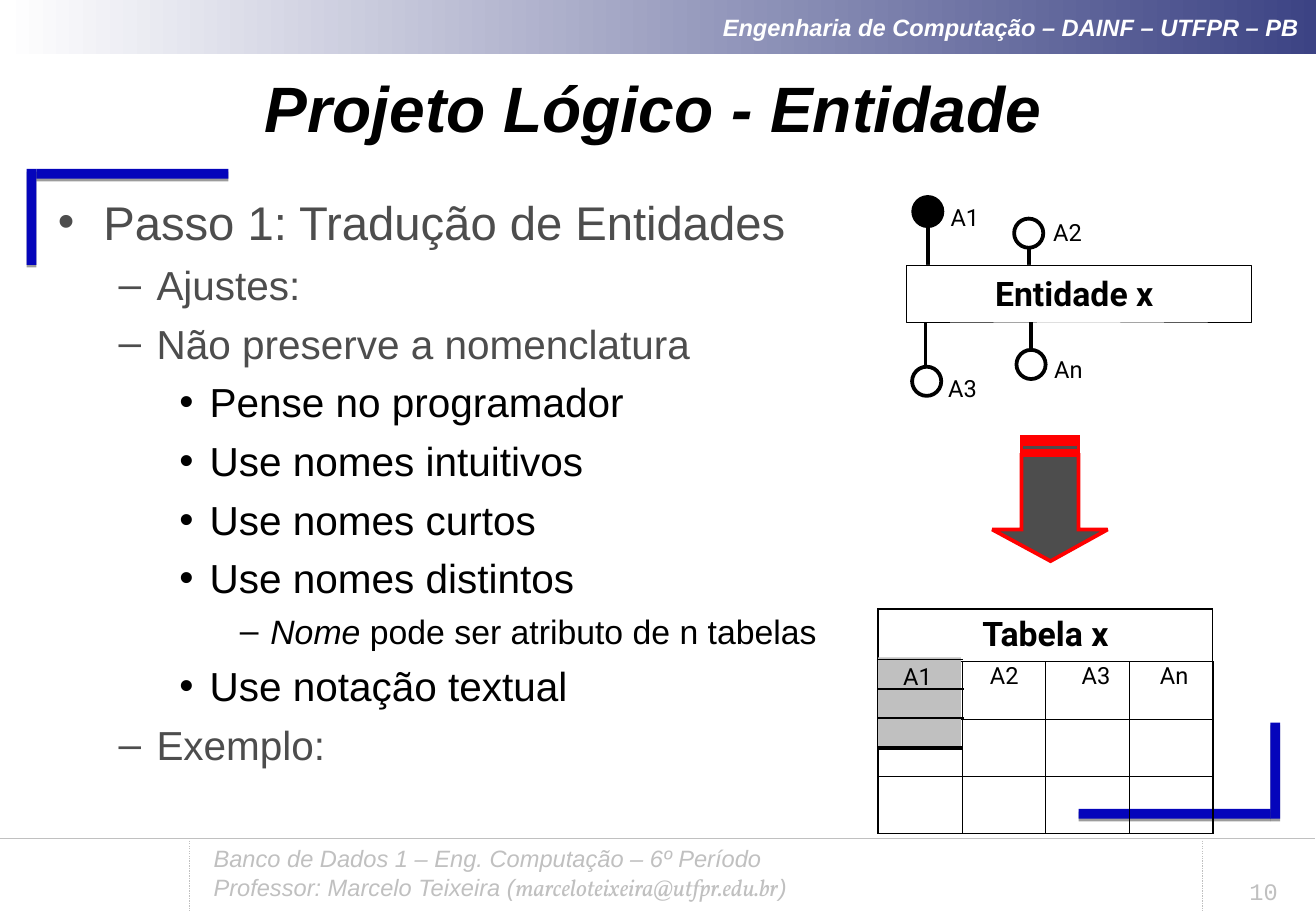
import pptx
import pptx.util
import pptx.dml.color
import pptx.enum.dml
import pptx.enum.shapes
import pptx.enum.text
import pptx.oxml
import pptx.oxml.ns
from lxml import etree

Pt = pptx.util.Pt
Kind = pptx.enum.shapes.MSO_SHAPE
Align = pptx.enum.text.PP_ALIGN
Anchor = pptx.enum.text.MSO_ANCHOR
Dash = pptx.enum.dml.MSO_LINE
qn = pptx.oxml.ns.qn

COLORS = {"black": "000000", "white": "FFFFFF", "navy": "3C4384", "blue": "0505BB",
          "silver": "C0C0C0", "gray": "4D4D4D", "red": "FF0000"}
LEVELS = [(27, 27, "•", "gray", 28, 7), (58.5, 22.5, "–", "gray", 24, 6),
          (90, 18, "•", "black", 24, 6), (126, 18, "–", "black", 20, 5)]
BODY = [(0, ["Passo 1: Tradução de Entidades"]), (1, ["Ajustes:"]),
        (1, ["Não preserve a nomenclatura"]), (2, ["Pense no programador"]),
        (2, ["Use nomes intuitivos"]), (2, ["Use nomes curtos"]),
        (2, ["Use nomes distintos"]), (3, ["Nome", " pode ser atributo de n tabelas"]),
        (2, ["Use notação textual"]), (1, ["Exemplo:"])]


def rgb(name):
    return pptx.dml.color.RGBColor.from_string(COLORS[name])


def style(run, size, color, face="Arial", bold=False, italic=False):
    font = run.font
    font.size, font.name, font.bold, font.italic = Pt(size), face, bold, italic
    font.color.rgb = rgb(color)


def setup(frame, pad=(7.2, 3.6), anchor=Anchor.TOP, wrap=True):
    frame.margin_left = frame.margin_right = Pt(pad[0])
    frame.margin_top = frame.margin_bottom = Pt(pad[1])
    frame.vertical_anchor, frame.word_wrap = anchor, wrap


def write(frame, text, align, *look, **more):
    frame.text = text
    para = frame.paragraphs[0]
    para.alignment = align
    style(para.runs[0], *look, **more)


def area(slide, x, y, w, h):
    return slide.shapes.add_textbox(Pt(x), Pt(y), Pt(w), Pt(h)).text_frame


def paint(shape, fill, line=None, width=2.25):
    shape.shadow.inherit = False
    shape.fill.solid()
    shape.fill.fore_color.rgb = rgb(fill)
    if line:
        shape.line.color.rgb = rgb(line)
        shape.line.width = Pt(width)
    else:
        shape.line.fill.background()


def block(slide, kind, x, y, w, h, *look):
    shape = slide.shapes.add_shape(kind, Pt(x), Pt(y), Pt(w), Pt(h))
    paint(shape, *look)
    return shape


def rule(slide, x1, y1, x2, y2, width, color="black", dash=None):
    line = slide.shapes.add_connector(pptx.enum.shapes.MSO_CONNECTOR.STRAIGHT,
                                      Pt(x1), Pt(y1), Pt(x2), Pt(y2))
    line.line.color.rgb = rgb(color)
    line.line.width = Pt(width)
    if dash:
        line.line.dash_style = dash
    etree.SubElement(line._element.spPr, qn("a:effectLst"))


def label(slide, text, x, y, w, center):
    frame = area(slide, x, y, w, 22.3)
    setup(frame, (2.9, 2.9), wrap=not center)
    write(frame, text, Align.CENTER if center else Align.LEFT, 14, "black", "Roboto")


def banner(slide):
    bar = block(slide, Kind.RECTANGLE, 1.4, 0, 779.8, 31.9, "white")
    bar.fill.gradient()
    bar.fill.gradient_angle = 0
    for stop, color in zip(bar.fill.gradient_stops, ("white", "navy")):
        stop.color.rgb = rgb(color)
    setup(bar.text_frame, anchor=Anchor.MIDDLE)
    write(bar.text_frame, "Engenharia de Computação – DAINF – UTFPR – PB ", Align.RIGHT,
          14, "white", bold=True, italic=True)


def corners(slide):
    for x, y, w, h in ((639.4, 479.5, 113.8, 5.8), (753.1, 428.4, 5.8, 56.9),
                       (21.6, 100.1, 113.8, 5.8), (15.8, 100.1, 5.8, 56.9)):
        bar = block(slide, Kind.RECTANGLE, x, y, w, h, "blue")
        glow = bar._element.spPr.find(qn("a:effectLst"))
        shade = etree.SubElement(glow, qn("a:outerShdw"), blurRad="0", dist=str(Pt(1.6)),
                                 dir="5400000", rotWithShape="0")
        tint = etree.SubElement(shade, qn("a:srgbClr"), val=COLORS["black"])
        etree.SubElement(tint, qn("a:alpha"), val="38000")


def footer(slide):
    for x in (112.3, 712.8):
        rule(slide, x, 496.8, x, 540, 0.75, "silver", Dash.ROUND_DOT)
    frame = area(slide, 119.5, 496.8, 542.9, 41)
    setup(frame)
    write(frame, "Banco de Dados 1 – Eng. Computação – 6º Período", Align.LEFT,
          14, "silver", italic=True)
    para = frame.add_paragraph()
    for text, face in (("Professor: Marcelo Teixeira (", "Arial"),
                       ("marceloteixeira@utfpr.edu.br", "Vollkorn"), (")", "Arial")):
        run = para.add_run()
        run.text = text
        style(run, 14, "silver", face, italic=True)
    rule(slide, 0, 496.8, 779.8, 496.8, 0.25, "silver")
    frame = area(slide, 717.8, 511.9, 62.6, 28.1)
    setup(frame, anchor=Anchor.BOTTOM)
    write(frame, "10", Align.CENTER, 14, "silver", "Courier New")


def heading(slide):
    title = slide.shapes.title
    title.left, title.top, title.width, title.height = Pt(15.8), Pt(38.6), Pt(743), Pt(49.7)
    setup(title.text_frame, (0, 0), Anchor.MIDDLE)
    write(title.text_frame, "Projeto Lógico - Entidade", Align.CENTER,
          38, "black", bold=True, italic=True)


def outline(slide):
    frame = area(slide, 27.2, 110.9, 720, 363)
    setup(frame)
    for i, (level, parts) in enumerate(BODY):
        para = frame.add_paragraph() if i else frame.paragraphs[0]
        left, hang, mark, color, size, gap = LEVELS[level]
        para.level = level
        if i:
            para.space_before = Pt(gap)
        props = para._p.get_or_add_pPr()
        props.set("marL", str(Pt(left)))
        props.set("indent", str(-Pt(hang)))
        tint = etree.SubElement(props, qn("a:buClr"))
        etree.SubElement(tint, qn("a:srgbClr"), val=COLORS[color])
        etree.SubElement(props, qn("a:buFont"), typeface="Arial")
        etree.SubElement(props, qn("a:buChar"), char=mark)
        for text in parts:
            run = para.add_run()
            run.text = text
            style(run, size, color, italic=text == "Nome")


def edge(cell, sides):
    props = cell._tc.get_or_add_tcPr()
    for side, width in zip("LRTB", sides):
        line = etree.SubElement(props, qn("a:ln" + side), w=str(Pt(width)))
        fill = etree.SubElement(line, qn("a:solidFill"))
        etree.SubElement(fill, qn("a:srgbClr"), val=COLORS["black"])
    cell.fill.background()


def grid(slide):
    table = slide.shapes.add_table(4, 4, Pt(520.6), Pt(360.9), Pt(198.4), Pt(133.3)).table
    table.first_row = table.horz_banding = False
    for col in table.columns:
        col.width = Pt(49.6)
    for r, row in enumerate(table.rows):
        row.height = Pt(34 if r else 31.3)
        for c, cell in enumerate(row.cells):
            outer = (c == 0, c == 3, r == 0, r == 3)
            edge(cell, [1.08 if out else 0.45 for out in outer])
    head = table.cell(0, 0)
    head.merge(table.cell(0, 3))
    head.margin_left = head.margin_right = Pt(2.9)
    write(head.text_frame, "Tabela x", Align.CENTER, 20, "black", "Roboto", bold=True)


def arrow(slide):
    left, right, neck = 605.5, 639.4, 269.7
    bars = [[(right, a), (left, a), (left, b), (right, b)]
            for a, b in ((263.1, 267.5), (258.8, 260.9))]
    head = [(656.6, 313.9), (right, 313.9), (right, neck), (left, neck),
            (left, 313.9), (588.2, 313.9), (622.8, 332.6)]
    pen = slide.shapes.build_freeform(Pt(head[0][0]), Pt(head[0][1]))
    for i, spots in enumerate([head] + bars):
        dots = [(Pt(x), Pt(y)) for x, y in spots]
        if i:
            pen.move_to(*dots[0])
        pen.add_line_segments(dots[1:], close=True)
    shape = pen.convert_to_shape()
    paint(shape, "gray", "red")
    etree.SubElement(shape._element.spPr.find(qn("a:ln")), qn("a:miter"), lim="800000")


def entity(slide):
    for x, top, end in ((550.1, 129.6, 158.4), (609.8, 146.9, 175),
                        (548.6, 190.8, 218.9), (611.3, 179.3, 207.4)):
        rule(slide, x, top, x, end, 2.25)
    for x, y, fill in ((541.4, 116.8, "black"), (601.2, 129.6, "white"),
                       (540.7, 217.4, "white"), (602.6, 207.4, "white")):
        block(slide, Kind.OVAL, x, y, 17.3, 17.3, fill, "black")
    for text, x, y, w, center in (("A1", 533.5, 117.4, 77, True), ("A2", 621.4, 126, 35.3, False),
                                  ("A3", 532.1, 218.9, 77, True), ("An", 622.1, 207.4, 33.8, False)):
        label(slide, text, x, y, w, center)
    box = block(slide, Kind.RECTANGLE, 537.1, 157, 204.5, 33.8, "white", "black", 0.25)
    setup(box.text_frame, (2.9, 2.9), Anchor.MIDDLE, False)
    write(box.text_frame, "Entidade x ", Align.CENTER, 20, "black", "Roboto", bold=True)


def fields(slide):
    block(slide, Kind.RECTANGLE, 520.6, 389.7, 49, 54.7, "silver")
    for text, x, y, w, center in (("A1", 505.4, 389.5, 77, True), ("A2", 583.9, 388.8, 27.4, False),
                                  ("A3", 611.3, 388.8, 77, True), ("An", 684.7, 388.8, 33.8, False)):
        label(slide, text, x, y, w, center)
    for x, y, width in ((520.6, 408.4, 1), (520.6, 425.7, 1), (519.8, 443.5, 2.25), (519.8, 391, 1)):
        rule(slide, x, y, x + 51.1, y, width)


def main():
    deck = pptx.Presentation()
    deck.slide_width, deck.slide_height = Pt(780.13), Pt(540)
    slide = deck.slides.add_slide(deck.slide_layouts[5])
    for draw in (banner, corners, footer, heading, outline, grid, arrow, entity, fields):
        draw(slide)
    deck.save("out.pptx")


if __name__ == "__main__":
    main()
